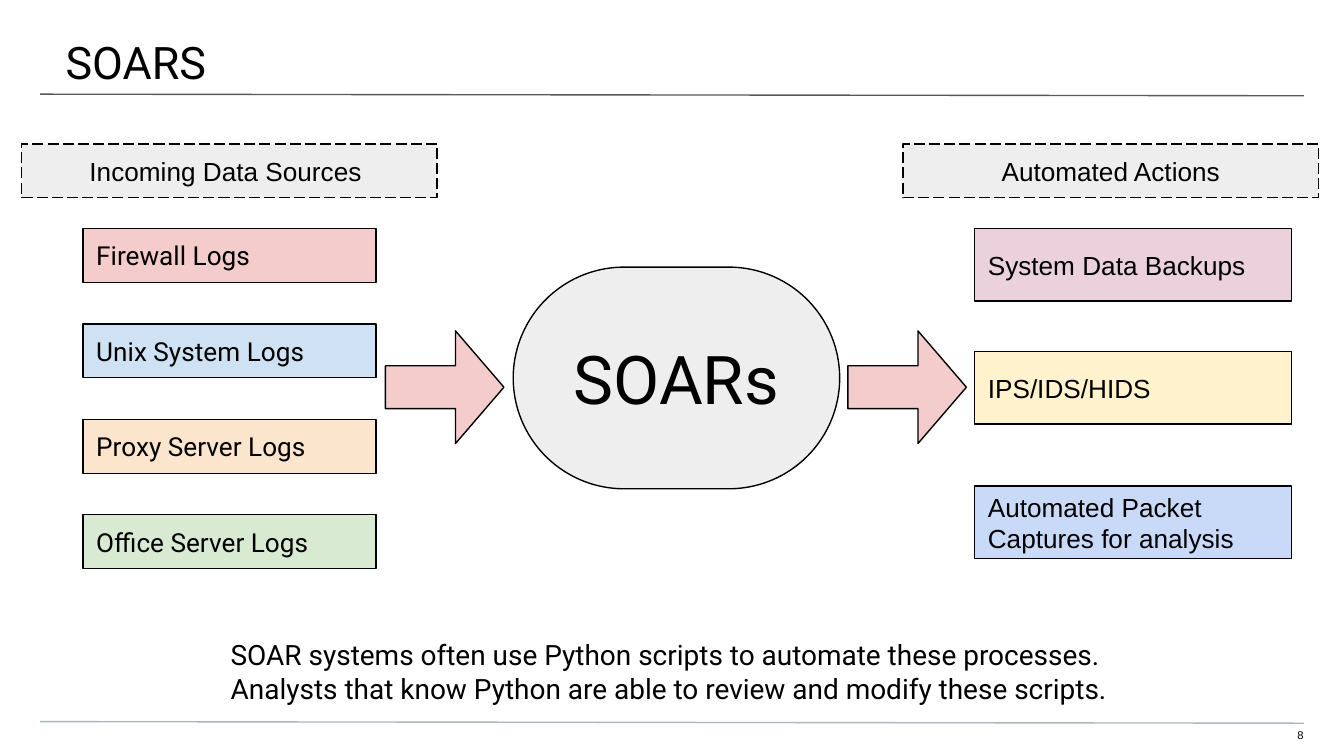
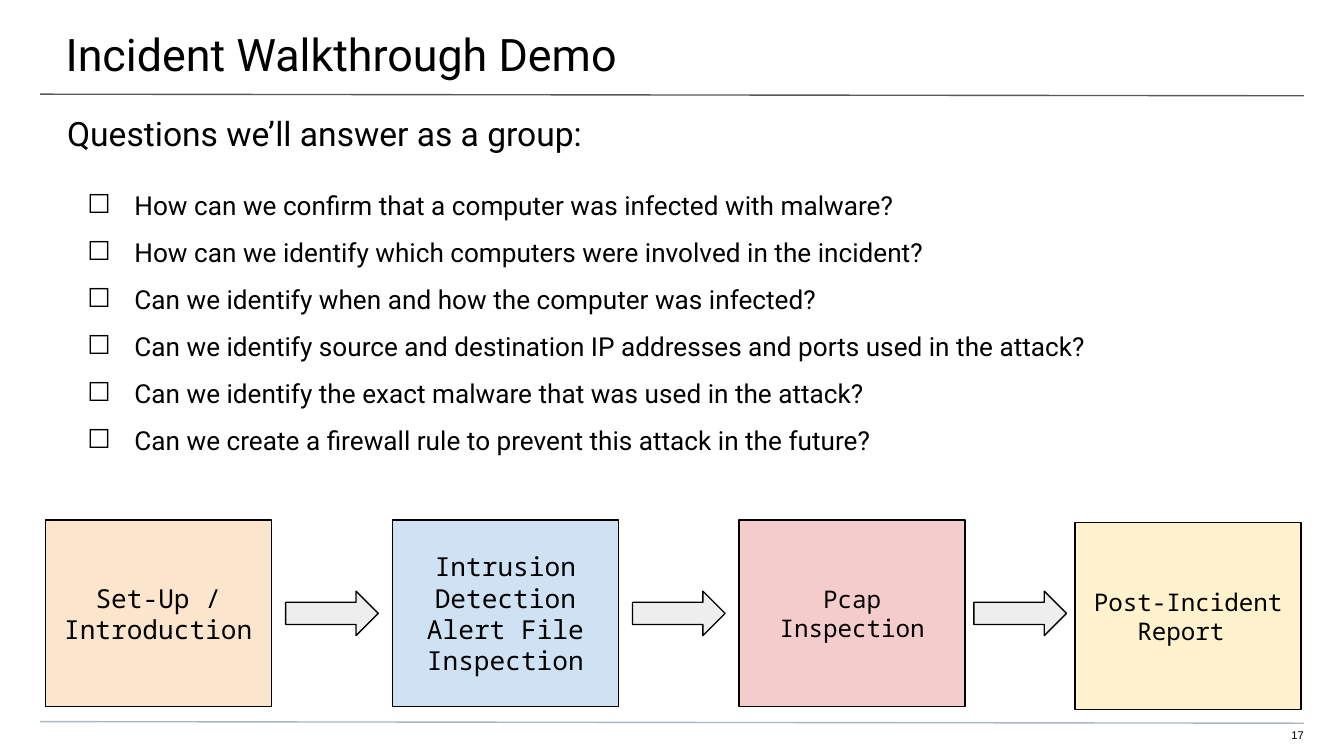
from collections import namedtuple

from lxml.etree import SubElement
from pptx import Presentation
from pptx.dml.color import RGBColor
from pptx.enum.dml import MSO_LINE
from pptx.enum.shapes import MSO_CONNECTOR, MSO_SHAPE
from pptx.enum.text import MSO_ANCHOR, MSO_AUTO_SIZE, PP_ALIGN
from pptx.oxml.ns import qn
from pptx.util import Cm, Pt

Box = namedtuple("Box", "left top width height")  # centimetres

COLORS = {
    "black": "000000",
    "title_rule": "595959",
    "footer_rule": "A9B7C0",
    "grey": "EEEEEE",
    "red": "F4CCCC",
    "blue": "CFE2F3",
    "orange": "FCE5CD",
    "green": "D9EAD3",
    "pink": "EAD1DC",
    "yellow": "FFF2CC",
    "sky": "C9DAF8",
}
SANS, PLAIN, MONO = "Roboto", "Arial", "Noto Sans Mono"
SLIDE = Box(0, 0, 25.4, 14.29)
TITLE_ONLY, TITLE_AND_BODY = 5, 1
INSETS = (0.25, 0.25, 0.25, 0.25)


def color(name):
    return RGBColor.from_string(COLORS[name])


def place(shape, box):
    shape.left, shape.top, shape.width, shape.height = map(Cm, box)


def add_bullet(para, symbol, indent, hanging):
    properties = para._p.get_or_add_pPr()
    properties.set("marL", str(Cm(indent)))
    properties.set("indent", str(-Cm(hanging)))
    bullet_color = SubElement(properties, qn("a:buClr"))
    SubElement(bullet_color, qn("a:srgbClr"), val=COLORS["black"])
    SubElement(properties, qn("a:buFont"), typeface=SANS)
    SubElement(properties, qn("a:buChar"), char=symbol)


def write(shape, *lines, font=SANS, size=14, align=PP_ALIGN.LEFT,
          anchor=MSO_ANCHOR.TOP, insets=INSETS, spacing=1.0, bullet=None):
    """Fill a shape with one paragraph per line; insets run left, top, right, bottom."""
    frame = shape.text_frame
    frame.word_wrap = True
    frame.auto_size = MSO_AUTO_SIZE.NONE
    frame.vertical_anchor = anchor
    (frame.margin_left, frame.margin_top,
     frame.margin_right, frame.margin_bottom) = map(Cm, insets)
    for index, line in enumerate(lines):
        para = frame.add_paragraph() if index else frame.paragraphs[0]
        para.alignment = align
        para.line_spacing = spacing
        para.space_before = Pt(0)
        if bullet:
            add_bullet(para, bullet, indent=1.27, hanging=0.89)
        span = para.add_run()
        span.text = line
        span.font.name = font
        span.font.size = Pt(size)
        span.font.color.rgb = color("black")


def add_text(page, box, *lines, **style):
    write(page.shapes.add_textbox(*map(Cm, box)), *lines, **style)


def add_figure(page, kind, box, fill, text=None, adjust=(), dash=None, **style):
    """Add an outlined preset shape, with text centred vertically if given."""
    figure = page.shapes.add_shape(kind, *map(Cm, box))
    figure.shadow.inherit = False
    figure.fill.solid()
    figure.fill.fore_color.rgb = color(fill)
    figure.line.color.rgb = color("black")
    figure.line.width = Pt(0.75)
    if dash:
        figure.line.dash_style = dash
    for index, value in enumerate(adjust):
        figure.adjustments[index] = value
    if text:
        write(figure, text, anchor=MSO_ANCHOR.MIDDLE, **style)


def add_arrow_between(page, before, after, middle, size, fill, adjust):
    """Centre an arrow in the gap between two boxes, at height middle."""
    width, height = size
    start = before.left + before.width
    left = start + (after.left - start - width) / 2
    add_figure(page, MSO_SHAPE.RIGHT_ARROW,
               Box(left, middle - height / 2, width, height), fill, adjust=adjust)


def add_rule(page, top, line_color):
    rule = page.shapes.add_connector(
        MSO_CONNECTOR.STRAIGHT, Cm(0.76), Cm(top), Cm(24.64), Cm(top + 0.03))
    rule.line.color.rgb = color(line_color)
    rule.line.width = Pt(0.75)
    SubElement(rule._element.spPr, qn("a:effectLst"))


def add_page(deck, layout, title, title_top, number):
    page = deck.slides.add_slide(deck.slide_layouts[layout])
    add_rule(page, 1.78, "title_rule")
    add_rule(page, 13.64, "footer_rule")
    place(page.shapes.title, Box(-0.03, title_top, 25.48, 1.47))
    write(page.shapes.title, title, size=24, insets=(1.27, 0.51, 0.76, 0.25))
    add_text(page, Box(23.9, 13.77, 0.74, 0.3), str(number), font=PLAIN, size=6,
             align=PP_ALIGN.RIGHT, insets=(0, 0, 0, 0.25))
    return page


def add_column_heading(page, box, text):
    add_figure(page, MSO_SHAPE.RECTANGLE, box, "grey", text, font=PLAIN,
               align=PP_ALIGN.CENTER, dash=MSO_LINE.LONG_DASH)


def add_log_sources(page, box):
    logs = [("Firewall Logs", "red"), ("Unix System Logs", "blue"),
            ("Proxy Server Logs", "orange"), ("Office Server Logs", "green")]
    height = 1.02
    step = (box.height - height) / (len(logs) - 1)
    for index, (text, fill) in enumerate(logs):
        row = Box(box.left, box.top + index * step, box.width, height)
        add_figure(page, MSO_SHAPE.RECTANGLE, row, fill, text)


def add_actions(page, box):
    actions = [(0, "System Data Backups", "pink"),
               (2.33, "IPS/IDS/HIDS", "yellow"),
               (4.87, "Automated Packet Captures for analysis", "sky")]
    for offset, text, fill in actions:
        row = Box(box.left, box.top + offset, box.width, 1.37)
        add_figure(page, MSO_SHAPE.RECTANGLE, row, fill, text, font=PLAIN)


def add_process_cards(page, box):
    """Draw the four steps with arrows; offsets are from the corner of the box."""
    steps = [(0, 0, "Set-Up / Introduction", "orange", 14),
             (6.56, 0, "Intrusion Detection Alert File Inspection", "blue", 14),
             (13.11, 0, "Pcap Inspection", "red", 13),
             (19.46, 0.05, "Post-Incident Report ", "yellow", 13)]
    cards = []
    for across, down, text, fill, size in steps:
        card = Box(box.left + across, box.top + down, 4.27, box.height)
        add_figure(page, MSO_SHAPE.RECTANGLE, card, fill, text, font=MONO,
                   size=size, align=PP_ALIGN.CENTER)
        cards.append(card)
    for before, after in zip(cards, cards[1:]):
        add_arrow_between(page, before, after, box.top + box.height / 2,
                          (1.75, 0.84), "grey", (0.5, 0.5))


def build_soars(deck):
    page = add_page(deck, TITLE_ONLY, "SOARS", 0.15, 8)
    sources = Box(1.57, 4.32, 5.54, 6.43)
    hub = Box(9.7, 5.05, 6.17, 4.19)
    actions = Box(18.42, 4.32, 5.99, 6.24)

    add_column_heading(page, Box(0.41, 2.72, 7.85, 1.02), "Incoming Data Sources ")
    add_column_heading(page, Box(17.07, 2.72, 7.85, 1.02), "Automated Actions")
    add_log_sources(page, sources)
    add_figure(page, MSO_SHAPE.ROUND_2_SAME_RECTANGLE, hub, "grey", "SOARs",
               size=36, align=PP_ALIGN.CENTER, adjust=(0.5, 0.5))
    add_actions(page, actions)
    for before, after in ((sources, hub), (hub, actions)):
        add_arrow_between(page, before, after, 7.32, (2.24, 2.13), "red", (0.38, 0.43))
    add_text(page, Box(4.11, 11.81, 20.02, 1.37),
             "SOAR systems often use Python scripts to automate these processes.",
             "Analysts that know Python are able to review and modify these scripts.",
             size=15)


def build_walkthrough(deck):
    page = add_page(deck, TITLE_AND_BODY, "Incident Walkthrough Demo", 0, 17)
    add_text(page, Box(0, 1.88, SLIDE.width, 1.02),
             "Questions we’ll answer as a group:", size=18,
             insets=(1.27, 0.25, 1.27, 0))
    questions = page.placeholders[1]
    place(questions, Box(0, 3.28, SLIDE.width, 10.49))
    write(questions,
          "How can we confirm that a computer was infected with malware?",
          "How can we identify which computers were involved in the incident?",
          "Can we identify when and how the computer was infected?",
          "Can we identify source and destination IP addresses and ports used in the attack?",
          "Can we identify the exact malware that was used in the attack?",
          "Can we create a firewall rule to prevent this attack in the future?",
          insets=(1.27, 0, 1.27, 2.54), spacing=1.5, bullet="☐")
    add_process_cards(page, Box(0.86, 9.83, 23.73, 3.53))


def main():
    deck = Presentation()
    deck.slide_width, deck.slide_height = Cm(SLIDE.width), Cm(SLIDE.height)
    build_soars(deck)
    build_walkthrough(deck)
    deck.save("out.pptx")


if __name__ == "__main__":
    main()
